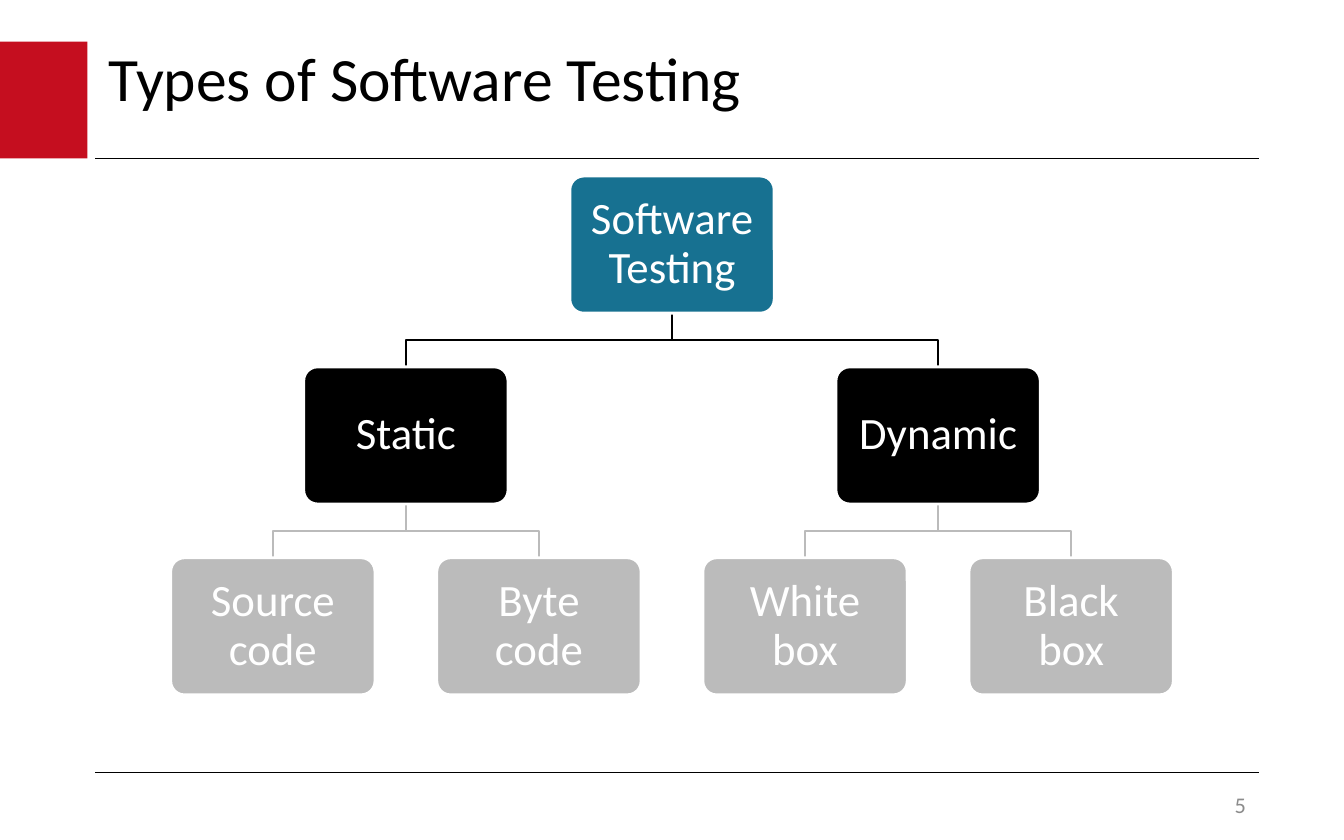
from dataclasses import dataclass

from lxml.etree import SubElement
from pptx import Presentation
from pptx.dml.color import RGBColor
from pptx.enum.shapes import MSO_CONNECTOR, MSO_SHAPE
from pptx.enum.text import MSO_ANCHOR, PP_ALIGN
from pptx.oxml.ns import qn
from pptx.util import Pt

PX = 9144  # EMU in one px, 100 px to the inch


@dataclass(frozen=True)
class Theme:
    font: str = "Calibri"
    red: str = "C50E1F"
    teal: str = "177191"
    black: str = "000000"
    grey: str = "BBBBBB"
    white: str = "FFFFFF"
    number_grey: str = "8C8C8C"
    title_size: int = 33
    node_size: int = 24
    number_size: int = 12


THEME = Theme()
LEVEL_COLOURS = (THEME.teal, THEME.black, THEME.grey)
TREE = ("Software Testing", [
    ("Static", [("Source code", []), ("Byte code", [])]),
    ("Dynamic", [("White box", []), ("Black box", [])]),
])
NODE_WIDTH, NODE_HEIGHT = 152, 102
LEAF_PITCH, LEVEL_PITCH = 198, 142


def emu(*lengths):
    return [length * PX for length in lengths]


def write(shape, text, size, colour, align, anchor, inset=(10, 5)):
    frame = shape.text_frame
    across, down = emu(*inset)
    settings = {
        "word_wrap": True, "vertical_anchor": anchor,
        "margin_left": across, "margin_right": across,
        "margin_top": down, "margin_bottom": down,
    }
    for name, value in settings.items():
        setattr(frame, name, value)
    para = frame.paragraphs[0]
    para.alignment = align
    para.line_spacing = 0.9
    span = para.add_run()
    span.text = text
    span.font.name = THEME.font
    span.font.size = Pt(size)
    span.font.color.rgb = RGBColor.from_string(colour)


def set_line(line, colour, width):
    line.color.rgb = RGBColor.from_string(colour)
    line.width = Pt(width)


def add_block(page, kind, box, colour):
    shape = page.shapes.add_shape(kind, *emu(*box))
    shape.shadow.inherit = False
    shape.fill.solid()
    shape.fill.fore_color.rgb = RGBColor.from_string(colour)
    return shape


def add_rule(page, left, top, width):
    rule = page.shapes.add_connector(
        MSO_CONNECTOR.STRAIGHT, *emu(left, top, left + width, top))
    set_line(rule.line, THEME.black, 0.75)
    SubElement(rule._element.spPr, qn("a:effectLst"))


def add_header(page, left, top, width, height):
    marker = add_block(page, MSO_SHAPE.RECTANGLE, (0, top, left - 6, height), THEME.red)
    marker.line.fill.background()
    add_rule(page, left, top + height, width)
    title = page.shapes.title
    title.left, title.top, title.width, title.height = emu(left, top, width, height - 16)
    write(title, "Types of Software Testing", THEME.title_size, THEME.black,
          PP_ALIGN.LEFT, MSO_ANCHOR.TOP)


def add_footer(page, left, top, width):
    add_rule(page, left, top, width)
    number = page.shapes.add_textbox(*emu(left + width - 203, top + 12, 203, 25))
    write(number, "5", THEME.number_size, THEME.number_grey,
          PP_ALIGN.RIGHT, MSO_ANCHOR.MIDDLE)


def add_branch(page, start, end, colour):
    """Draw a line that bends halfway down from start to end."""
    middle = (start[1] + end[1]) / 2
    builder = page.shapes.build_freeform(*start, scale=PX)
    builder.add_line_segments([(start[0], middle), (end[0], middle), end], close=False)
    branch = builder.convert_to_shape()
    branch.shadow.inherit = False
    branch.fill.background()
    set_line(branch.line, colour, 1)


def count_leaves(children):
    return sum(count_leaves(below) for _, below in children) or 1


def add_tree(page, tree, centre, top, level=0):
    """Draw a node centred above its evenly spread subtrees."""
    label, children = tree
    bottom = top + NODE_HEIGHT
    edge = centre - count_leaves(children) * LEAF_PITCH / 2
    for child in children:
        span = count_leaves(child[1]) * LEAF_PITCH
        child_centre, child_top = edge + span / 2, top + LEVEL_PITCH
        add_branch(page, (centre, bottom), (child_centre, child_top),
                   LEVEL_COLOURS[level + 1])
        add_tree(page, child, child_centre, child_top, level + 1)
        edge += span
    box = (int(centre - NODE_WIDTH / 2), top, NODE_WIDTH, NODE_HEIGHT)
    node = add_block(page, MSO_SHAPE.ROUNDED_RECTANGLE, box, LEVEL_COLOURS[level])
    node.adjustments[0] = 0.1
    set_line(node.line, THEME.white, 1.5)
    write(node, label, THEME.node_size, THEME.white,
          PP_ALIGN.CENTER, MSO_ANCHOR.MIDDLE, inset=(10, 10))


def main():
    deck = Presentation()
    deck.slide_width, deck.slide_height = emu(1000, 625)
    page = deck.slides.add_slide(deck.slide_layouts[5])
    add_header(page, 71, 31, 866, 87)
    add_tree(page, TREE, 500, 131)
    add_footer(page, 71, 575, 866)
    deck.save("out.pptx")


if __name__ == "__main__":
    main()
